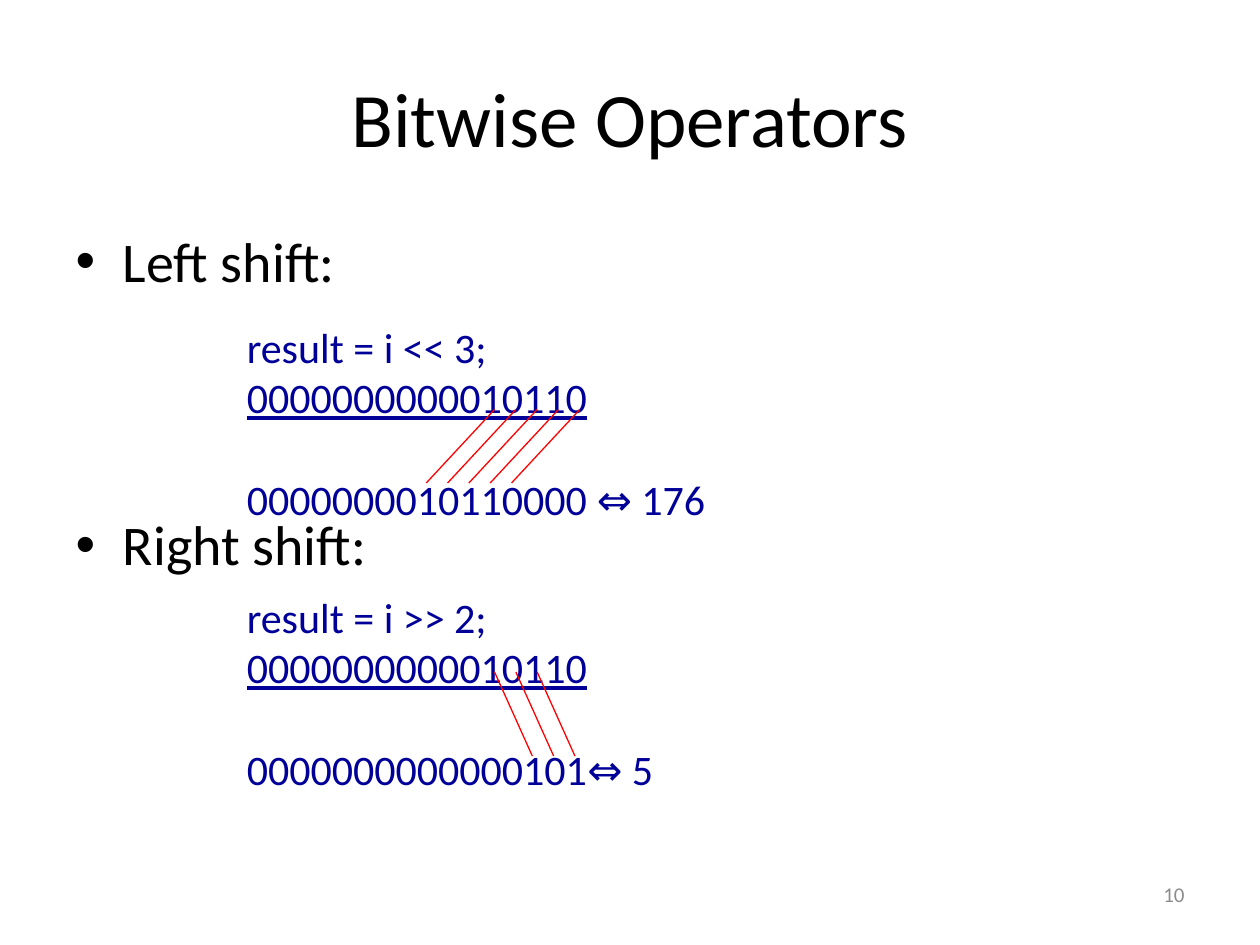
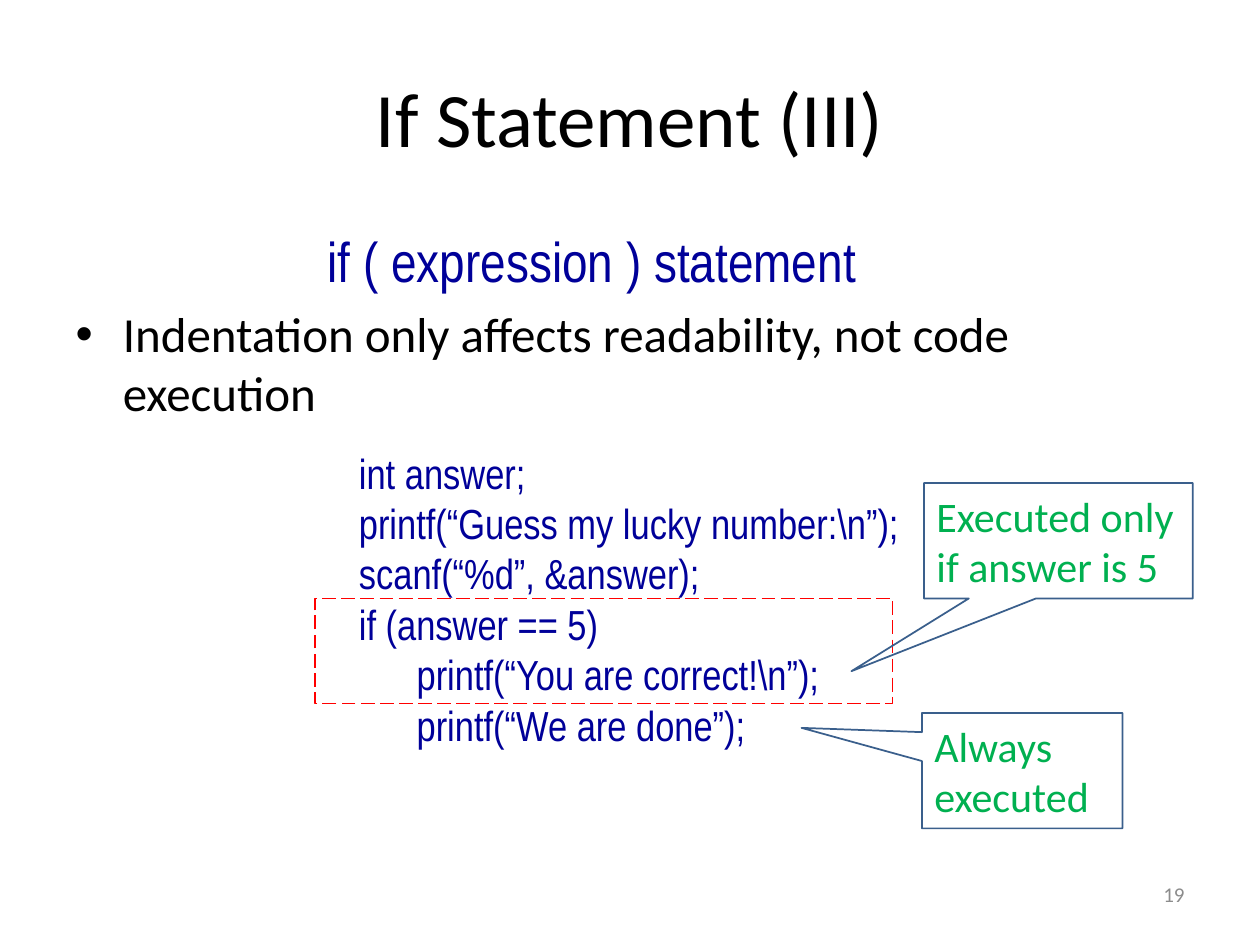
"""Two lecture slides on C: bitwise shifts and the if statement."""
from dataclasses import dataclass

from lxml import etree
from pptx import Presentation
from pptx import util as u
from pptx.dml.color import RGBColor
from pptx.enum import dml, shapes, text
from pptx.oxml.ns import qn


@dataclass(frozen=True)
class Theme:
    """Colours, fonts and type sizes of the deck."""
    ink: str = "000000"
    code: str = "000099"
    mark: str = "FF0000"
    note: str = "00B050"
    note_edge: str = "3A5F8C"
    number: str = "8C8C8C"
    font: str = "Calibri"
    code_font: str = "Arial Narrow"
    title: int = 44
    lead: int = 32
    point: int = 28
    small: int = 24
    footer: int = 12


THEME = Theme()
COLUMNS = 120
TITLE_BOX = (6, 3.6, 108, 15)
BODY_BOX = (6, 21, 108, 59.4)
NUMBER_BOX = (103, 82.8, 11, 4.8)
DIGIT = 2.03

deck = Presentation()
deck.slide_width, deck.slide_height = u.Inches(10), u.Inches(7.5)


def cells(*counts):
    """Turn counts of square grid cells into slide lengths."""
    return [u.Emu(round(count * deck.slide_width / COLUMNS)) for count in counts]


def write(frame, words, size=THEME.small, color=THEME.ink, font=THEME.font, align=None,
          underline=None, before=None, indent=None, first=False):
    """Add one formatted paragraph; an indent in cells also removes the bullet."""
    paragraph = frame.paragraphs[0] if first else frame.add_paragraph()
    paragraph.alignment = align
    if before is not None:
        paragraph.space_before = u.Pt(before)
    if indent is not None:
        properties = paragraph._p.get_or_add_pPr()
        properties.set("marL", str(cells(indent)[0]))
        properties.set("indent", "0")
        etree.SubElement(properties, qn("a:buNone"))
    run = paragraph.add_run()
    run.text = words
    run.font.size, run.font.name = u.Pt(size), font
    run.font.underline = underline
    run.font.color.rgb = RGBColor.from_string(color)


def place(shape, box):
    """Move a shape to a box given in cells."""
    shape.left, shape.top, shape.width, shape.height = cells(*box)


def text_box(slide, box):
    """Add a wrapping text box and return its frame."""
    frame = slide.shapes.add_textbox(*cells(*box)).text_frame
    frame.word_wrap = True
    return frame


def outline(slide, kind, box, color):
    """Add an unfilled preset shape with a one-point line."""
    shape = slide.shapes.add_shape(kind, *cells(*box))
    shape.shadow.inherit = False
    shape.fill.background()
    shape.line.color.rgb = RGBColor.from_string(color)
    shape.line.width = u.Pt(1)
    return shape


def titled_slide(title, number):
    """Add a slide with title and number; return it with its body frame."""
    slide = deck.slides.add_slide(deck.slide_layouts[1])
    heading, body = slide.placeholders
    place(heading, TITLE_BOX)
    place(body, BODY_BOX)
    write(heading.text_frame, title, size=THEME.title, align=text.PP_ALIGN.CENTER, first=True)
    footer = text_box(slide, NUMBER_BOX)
    footer.vertical_anchor = text.MSO_ANCHOR.MIDDLE
    write(footer, number, size=THEME.footer, color=THEME.number,
          align=text.PP_ALIGN.RIGHT, first=True)
    return slide, body.text_frame


def shift_example(slide, box, statement, operand, result, kept, travel, rows):
    """Show a shift, with a line from each kept bit to its new place."""
    left, top = box[:2]
    frame = text_box(slide, box)
    frame.auto_size = text.MSO_AUTO_SIZE.SHAPE_TO_FIT_TEXT
    frame.margin_left, frame.margin_right = cells(1.5, 0)
    write(frame, statement, color=THEME.code, first=True)
    write(frame, operand, color=THEME.code, underline=True)
    write(frame, result, color=THEME.code, before=29.3)
    for bit in range(kept):
        start = left + 25.1 + bit * DIGIT
        ends = cells(start, top + rows[0], start + travel, top + rows[1])
        path_line = slide.shapes.add_connector(shapes.MSO_CONNECTOR.STRAIGHT, *ends)
        path_line.line.color.rgb = RGBColor.from_string(THEME.mark)
        path_line.line.width = u.Pt(0.75)
        etree.SubElement(path_line._element.spPr, qn("a:effectLst"))


def code_listing(slide, box, lines):
    """Show lines of code, each with its indent in cells."""
    frame = text_box(slide, box)
    frame.auto_size = text.MSO_AUTO_SIZE.SHAPE_TO_FIT_TEXT
    for row, (indent, line) in enumerate(lines):
        write(frame, line, color=THEME.code, font=THEME.code_font,
              indent=indent, first=row == 0)


def callout(slide, box, words, tip):
    """Add a note whose tip is given as shares of its size from its centre."""
    note = outline(slide, shapes.MSO_SHAPE.RECTANGULAR_CALLOUT, box, THEME.note_edge)
    note.adjustments[0], note.adjustments[1] = tip
    note.text_frame.word_wrap = True
    note.text_frame.vertical_anchor = text.MSO_ANCHOR.MIDDLE
    write(note.text_frame, words, color=THEME.note, align=text.PP_ALIGN.LEFT, first=True)


def bitwise_slide():
    """Build the slide on left and right shift."""
    slide, body = titled_slide("Bitwise Operators", "10")
    write(body, "Left shift:", size=THEME.lead, first=True)
    write(body, "Right shift:", size=THEME.lead, before=123.4)
    operand = "0000000000010110"
    shift_example(slide, (22, 30, 52, 20.6), "result = i << 3;", operand,
                  "0000000010110000 \u21d4 176", kept=5, travel=-6.5, rows=(9, 16))
    shift_example(slide, (22, 55.7, 52, 20.6), "result = i >> 2;", operand,
                  "0000000000000101\u21d4 5", kept=3, travel=3.6, rows=(8.3, 16.3))


def if_slide():
    """Build the slide on indentation in the if statement."""
    slide, body = titled_slide("If Statement (III)", "19")
    write(body, "if ( expression ) statement", size=THEME.lead, color=THEME.code,
          font=THEME.code_font, indent=24, first=True)
    write(body, "Indentation only affects readability, not code execution", size=THEME.point)
    code_listing(slide, (33, 42, 64, 30.2), [
        (0, "int answer;"),
        (0, "printf(\u201cGuess my lucky number:\\n\u201d);"),
        (0, "scanf(\u201c%d\u201d, &answer);"),
        (0, "if (answer == 5)"),
        (5.5, "printf(\u201cYou are correct!\\n\u201d);"),
        (5.5, "printf(\u201cWe are done\u201d);"),
    ])
    branch = outline(slide, shapes.MSO_SHAPE.RECTANGLE, (30, 57, 55, 10), THEME.mark)
    branch.line.dash_style = dml.MSO_LINE.LONG_DASH
    callout(slide, (88, 46, 25.6, 11), "Executed only if answer is 5", (-0.77, 1.13))
    callout(slide, (87.8, 67.9, 19.1, 11), "Always executed", (-1.1, -0.37))


bitwise_slide()
if_slide()
deck.save("out.pptx")
